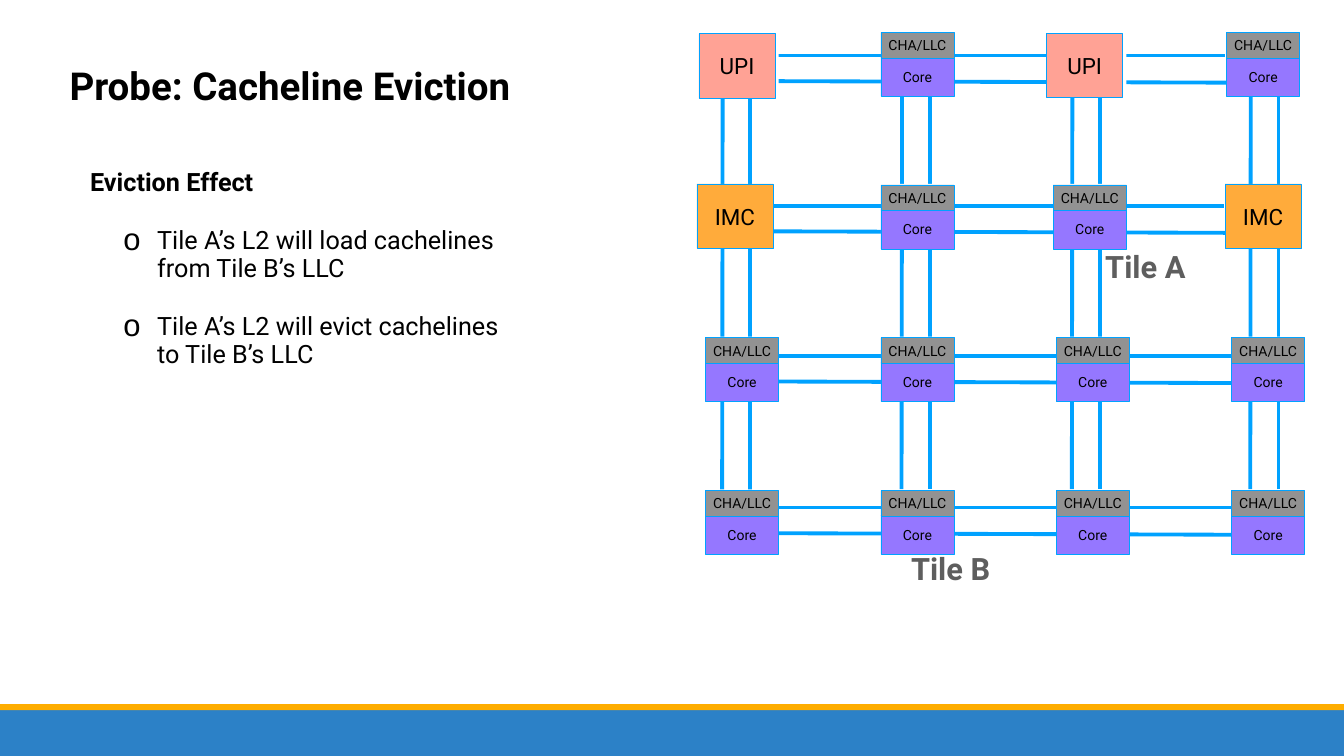
"""Build the cacheline eviction slide with its mesh of tiles."""
from dataclasses import dataclass
from typing import Any, NamedTuple

from lxml import etree
from pptx import Presentation
from pptx import util as u
from pptx.dml.color import RGBColor
from pptx.enum import shapes, text
from pptx.oxml import ns


@dataclass(frozen=True)
class Theme:
    font: str = "Roboto"
    black: str = "000000"
    white: str = "FFFFFF"
    gray: str = "5E5E5E"
    cache: str = "929292"
    core: str = "9577FF"
    upi: str = "FFA295"
    imc: str = "FFAB3B"
    link: str = "00A2FF"
    blue: str = "2C81C7"
    amber: str = "FEAD00"
    title: int = 55
    label: int = 44
    body: int = 36
    node: int = 32
    small: int = 20
    lane: float = 5.5
    edge: float = 1


class Grid(NamedTuple):
    left: float = 14
    top: float = 0.64
    col: float = 3.48
    row: float = 3.03

    def spot(self, col: int, row: int) -> tuple[float, float]:
        return self.left + col * self.col, self.top + row * self.row


class Box(NamedTuple):
    x: float
    y: float
    w: float
    h: float


class Tile(NamedTuple):
    kind: str
    col: int
    row: int
    dx: float = 0
    dy: float = 0


class Item(NamedTuple):
    words: str
    level: int
    indent: float
    hang: float
    before: int
    bold: bool
    mark: str = ""


WIDE, HIGH = 26.67, 15
THEME, GRID = Theme(), Grid()
ODD = {
    (0, 0): Tile("UPI", 0, 0, -0.13, 0.03),
    (2, 0): Tile("UPI", 2, 0, -0.19, 0.02),
    (3, 0): Tile("Core", 3, 0, -0.1),
    (0, 1): Tile("IMC", 0, 1, -0.17, -0.02),
    (2, 1): Tile("Core", 2, 1, -0.06),
    (3, 1): Tile("IMC", 3, 1, -0.13, -0.02),
}
TILES = [ODD.get((c, r), Tile("Core", c, r)) for r in range(4) for c in range(4)]
ROWS = [(15.34, 1.1), (15.31, 4.08), (15.45, 7.06), (15.45, 10.07)]
COLS = [(14.33, 1.94), (17.89, 1.92), (21.27, 1.92), (24.81, 1.92)]
ITEMS = [
    Item("Eviction Effect", 1, 0.67, 0, 0, True),
    Item("Tile A’s L2 will load cachelines from Tile B’s LLC", 2, 2, -0.67, 45, False, "o"),
    Item("Tile A’s L2 will evict cachelines to Tile B’s LLC", 2, 2, -0.67, 45, False, "o"),
]


def share(x: float, y: float, w: float, h: float) -> Box:
    """Turn percentages of the slide into a box in inches."""
    return Box(x * WIDE / 100, y * HIGH / 100, w * WIDE / 100, h * HIGH / 100)


def apply(obj: Any, **vals: Any) -> None:
    """Set each given attribute on the object."""
    for name, val in vals.items():
        setattr(obj, name, val)


def place(shape: Any, box: Box) -> None:
    """Move and size a shape."""
    left, top, wide, high = map(u.Inches, box)
    apply(shape, left=left, top=top, width=wide, height=high)


def style(par: Any, size: float, color: str = THEME.black, bold: bool = False) -> None:
    """Set the font of a paragraph."""
    apply(par.font, name=THEME.font, size=u.Pt(size), bold=bold)
    par.font.color.rgb = RGBColor.from_string(color)


def frame(shape: Any, anchor: Any, wrap: bool = True, fit: Any = text.MSO_AUTO_SIZE.NONE) -> Any:
    """Format and return the text frame of a shape."""
    pad = u.Inches(0.06)
    apply(shape.text_frame, margin_left=pad, margin_right=pad, margin_top=pad,
          margin_bottom=pad, vertical_anchor=anchor, word_wrap=wrap, auto_size=fit)
    return shape.text_frame


def rect(tree: Any, box: Box, fill: str, words: str = "", size: float = THEME.small,
         edge: bool = False) -> None:
    """Draw a filled rectangle with an optional edge and words."""
    shape = tree.add_shape(shapes.MSO_SHAPE.RECTANGLE, *map(u.Inches, box))
    shape.shadow.inherit = False
    shape.fill.solid()
    shape.fill.fore_color.rgb = RGBColor.from_string(fill)
    if edge:
        shape.line.color.rgb = RGBColor.from_string(THEME.link)
        shape.line.width = u.Pt(THEME.edge)
    else:
        shape.line.fill.background()
    if words:
        par = frame(shape, text.MSO_ANCHOR.MIDDLE).paragraphs[0]
        apply(par, text=words, alignment=text.PP_ALIGN.CENTER)
        style(par, size)


def lane(tree: Any, *ends: float) -> None:
    """Draw one link from start to end."""
    line = tree.add_connector(shapes.MSO_CONNECTOR.STRAIGHT, *map(u.Inches, ends))
    line.line.color.rgb = RGBColor.from_string(THEME.link)
    line.line.width = u.Pt(THEME.lane)
    etree.SubElement(line._element.spPr, ns.qn("a:effectLst"))


def tile(tree: Any, item: Tile) -> None:
    """Draw a core tile or a plain node on its backing."""
    x, y = GRID.spot(item.col, item.row)
    x, y = x + item.dx, y + item.dy
    if item.kind == "Core":
        rect(tree, Box(x + 0.07, y - 0.02, 1.31, 1.28), THEME.white)
        rect(tree, Box(x, y + 0.49, 1.45, 0.78), THEME.core, "Core", edge=True)
        rect(tree, Box(x, y, 1.45, 0.51), THEME.cache, "CHA/LLC", edge=True)
        return
    if item.kind == "UPI":
        rect(tree, Box(x + 0.27, y - 0.04, 1.31, 1.28), THEME.white)
    fill = THEME.upi if item.kind == "UPI" else THEME.imc
    rect(tree, Box(x, y, 1.51, 1.28), fill, item.kind, THEME.node, True)


def label(tree: Any, words: str, box: Box) -> None:
    """Write a tile name."""
    shape = tree.add_textbox(*map(u.Inches, box))
    par = frame(shape, text.MSO_ANCHOR.MIDDLE, False,
                text.MSO_AUTO_SIZE.SHAPE_TO_FIT_TEXT).paragraphs[0]
    apply(par, text=words, alignment=text.PP_ALIGN.CENTER)
    style(par, THEME.label, THEME.gray, True)


def entry(par: Any, item: Item) -> None:
    """Write one paragraph of the list."""
    props = par._p.get_or_add_pPr()
    props.set("marL", str(u.Inches(item.indent)))
    props.set("indent", str(u.Inches(item.hang)))
    if item.mark:
        etree.SubElement(props, ns.qn("a:buSzPct"), val="123000")
        etree.SubElement(props, ns.qn("a:buChar"), char=item.mark)
    else:
        etree.SubElement(props, ns.qn("a:buNone"))
    apply(par, text=item.words, level=item.level, line_spacing=0.9,
          space_before=u.Pt(item.before), alignment=text.PP_ALIGN.LEFT)
    style(par, THEME.body, bold=item.bold)


def main() -> None:
    """Build and save the slide."""
    deck = Presentation()
    apply(deck, slide_width=u.Inches(WIDE), slide_height=u.Inches(HIGH))
    slide = deck.slides.add_slide(deck.slide_layouts[1])
    tree = slide.shapes

    place(tree.title, share(4.95, 7.87, 90.1, 10.47))
    head = frame(tree.title, text.MSO_ANCHOR.TOP).paragraphs[0]
    apply(head, text="Probe: Cacheline Eviction", alignment=text.PP_ALIGN.LEFT)
    style(head, THEME.title, bold=True)

    body = slide.placeholders[1]
    place(body, share(3.97, 22, 34.31, 63.6))
    area = frame(body, text.MSO_ANCHOR.TOP)
    for num, item in enumerate(ITEMS):
        entry(area.add_paragraph() if num else area.paragraphs[0], item)

    label(tree, "Tile B", share(67.42, 72.33, 6.64, 5.67))
    mesh = tree.add_group_shape().shapes
    for x, y in ROWS:
        lane(mesh, x, y, x + 8.97, y)
        lane(mesh, x, y + 0.51, x + 9, y + 0.54)
    for x, y in COLS:
        lane(mesh, x, y + 7.79, x + 0.01, y)
        lane(mesh, x + 0.56, y + 7.79, x + 0.56, y)
    for item in TILES:
        tile(mesh, item)
    label(tree, "Tile A", share(81.93, 32.4, 6.6, 5.67))

    band = tree.add_group_shape().shapes
    rect(band, share(-1.09, 93.27, 102.7, 11.87), THEME.blue)
    rect(band, share(-1.61, 93.13, 102.7, 0.8), THEME.amber)
    deck.save("out.pptx")


if __name__ == "__main__":
    main()
